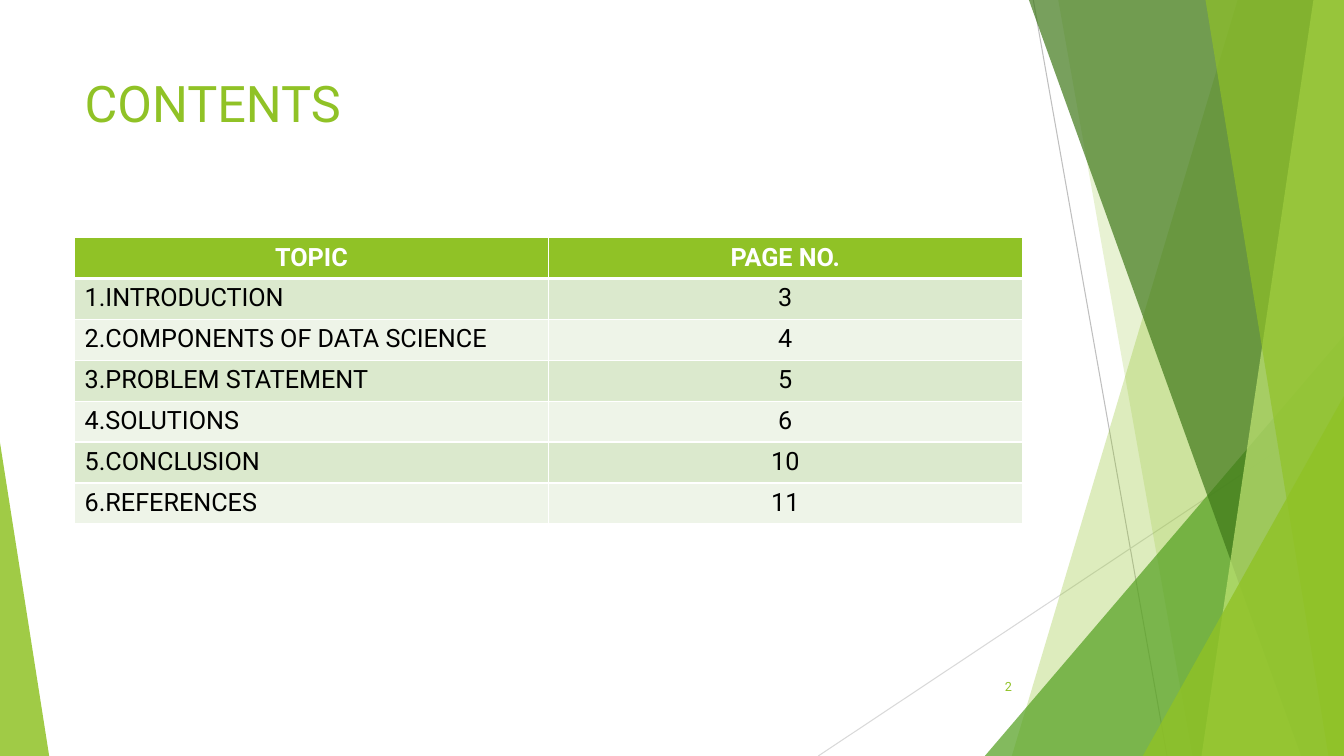
import pptx
import pptx.util
import pptx.dml.color
import pptx.enum.shapes
import pptx.enum.text
import pptx.oxml
import pptx.oxml.ns
from pptx.util import Cm

WIDTH, HEIGHT = 33.87, 19.05
FONT = "Roboto"
GREEN, WHITE, BLACK = "90C226", "FFFFFF", "000000"
BANDS = ("DBE9CD", "EEF4E8")
ALIGN = pptx.enum.text.PP_ALIGN
ANCHOR = pptx.enum.text.MSO_ANCHOR

# Background lines: x1, y1, x2, y2, colour
LINES = [
    (26.04, 0, 29.41, HEIGHT, "BFBFBF"),
    (WIDTH, 10.24, 20.62, HEIGHT, "D9D9D9"),
]
# Facets back to front. A blade runs from its left edge (top x, bottom x) to
# the right slide edge; a triangle has left, top, width, height and apex.
FACETS = [
    ("blade", (31.19, 25.5), GREEN, 30),
    ("blade", (26.67, 30.05), GREEN, 20),
    ("triangle", (24.82, 8.46, 9.05, 10.59, 1), "54A021", 72),
    ("blade", (25.93, 32.79), "3F7819", 70),
    ("blade", (33.1, 30.28), "C0E474", 70),
    ("blade", (30.38, 33.48), GREEN, 65),
    ("triangle", (28.8, 9.98, 5.07, 9.07, 1), GREEN, 80),
    ("triangle", (0, 11.15, 1.24, 7.9, 0), GREEN, 85),
]
CONTENTS = [
    ("TOPIC", "PAGE NO."),
    ("1.INTRODUCTION", "3"),
    ("2.COMPONENTS OF DATA SCIENCE", "4"),
    ("3.PROBLEM STATEMENT", "5"),
    ("4.SOLUTIONS", "6"),
    ("5.CONCLUSION", "10"),
    ("6.REFERENCES", "11"),
]


def rgb(value):
    return pptx.dml.color.RGBColor.from_string(value)


def write(tf, text, size, color, align=ALIGN.LEFT, bold=False):
    p = tf.paragraphs[0]
    p.alignment = align
    r = p.add_run()
    r.text = text
    style = {"name": FONT, "size": pptx.util.Pt(size), "bold": bold}
    for key, value in style.items():
        setattr(r.font, key, value)
    r.font.color.rgb = rgb(color)


def add_line(shapes, x1, y1, x2, y2, color):
    line = shapes.add_connector(pptx.enum.shapes.MSO_CONNECTOR.STRAIGHT,
                                Cm(x1), Cm(y1), Cm(x2), Cm(y2))
    line.line.color.rgb = rgb(color)
    line.line.width = pptx.util.Pt(0.75)
    pptx.oxml.ns.qn("a:effectLst")
    line._element.spPr.append(pptx.oxml.parse_xml(
        f"<a:effectLst {pptx.oxml.ns.nsdecls('a')}/>"))


def blade(shapes, top_x, bottom_x):
    corners = [(WIDTH, 0), (WIDTH, HEIGHT), (bottom_x, HEIGHT)]
    builder = shapes.build_freeform(Cm(top_x), 0)
    builder.add_line_segments([(Cm(x), Cm(y)) for x, y in corners])
    return builder.convert_to_shape()


def triangle(shapes, left, top, width, height, apex):
    sp = shapes.add_shape(pptx.enum.shapes.MSO_SHAPE.ISOSCELES_TRIANGLE,
                          Cm(left), Cm(top), Cm(width), Cm(height))
    sp.adjustments[0] = apex
    return sp


def add_facet(shapes, kind, geometry, color, opacity):
    draw = {"blade": blade, "triangle": triangle}[kind]
    sp = draw(shapes, *geometry)
    sp.shadow.inherit = False
    sp.line.fill.background()
    sp.fill.solid()
    sp.fill.fore_color.rgb = rgb(color)
    clr = sp._element.spPr.find(".//" + pptx.oxml.ns.qn("a:srgbClr"))
    clr.append(pptx.oxml.parse_xml(
        f"<a:alpha {pptx.oxml.ns.nsdecls('a')} val=\"{opacity * 1000}\"/>"))


def add_borders(cell, widths):
    for side, width in widths.items():
        cell._tc.get_or_add_tcPr().append(pptx.oxml.parse_xml(
            f"<a:ln{side} {pptx.oxml.ns.nsdecls('a')} w=\"{width * 12700}\">"
            f"<a:solidFill><a:srgbClr val=\"{WHITE}\"/></a:solidFill></a:ln{side}>"))


def add_contents_table(shapes, left, top, width, row_height):
    rows, cols = len(CONTENTS), len(CONTENTS[0])
    table = shapes.add_table(rows, cols, Cm(left), Cm(top),
                             Cm(width), Cm(row_height * rows)).table
    for i, texts in enumerate(CONTENTS):
        header = i == 0
        table.rows[i].height = Cm(row_height)
        for j, text in enumerate(texts):
            cell = table.cell(i, j)
            add_borders(cell, {"L": 1, "R": 1, "T": 3 if i == 1 else 1,
                               "B": 3 if header else 1})
            cell.fill.solid()
            cell.fill.fore_color.rgb = rgb(GREEN if header else BANDS[(i - 1) % 2])
            centred = header or j == 1
            write(cell.text_frame, text, 18, WHITE if header else BLACK,
                  ALIGN.CENTER if centred else ALIGN.LEFT, header)


def place_title(title, text):
    box = {"left": 1.88, "top": 1.7, "width": 23.88, "height": 3.66}
    for key, value in box.items():
        setattr(title, key, Cm(value))
    title.text_frame.vertical_anchor = ANCHOR.TOP
    write(title.text_frame, text, 36, GREEN)


def add_page_number(shapes, text):
    tf = shapes.add_textbox(Cm(23.85), Cm(16.79), Cm(1.9), Cm(1.02)).text_frame
    tf.word_wrap = True
    tf.vertical_anchor = ANCHOR.MIDDLE
    write(tf, text, 9, GREEN, ALIGN.RIGHT)


def main():
    prs = pptx.Presentation()
    prs.slide_width, prs.slide_height = Cm(WIDTH), Cm(HEIGHT)
    s = prs.slides.add_slide(prs.slide_layouts[5])

    # Background decoration
    for line in LINES:
        add_line(s.shapes, *line)
    for facet in FACETS:
        add_facet(s.shapes, *facet)

    # Content
    place_title(s.shapes.title, "CONTENTS")
    add_contents_table(s.shapes, 1.88, 5.99, 23.88, 1.03)
    add_page_number(s.shapes, "2")

    prs.save("out.pptx")


main()
